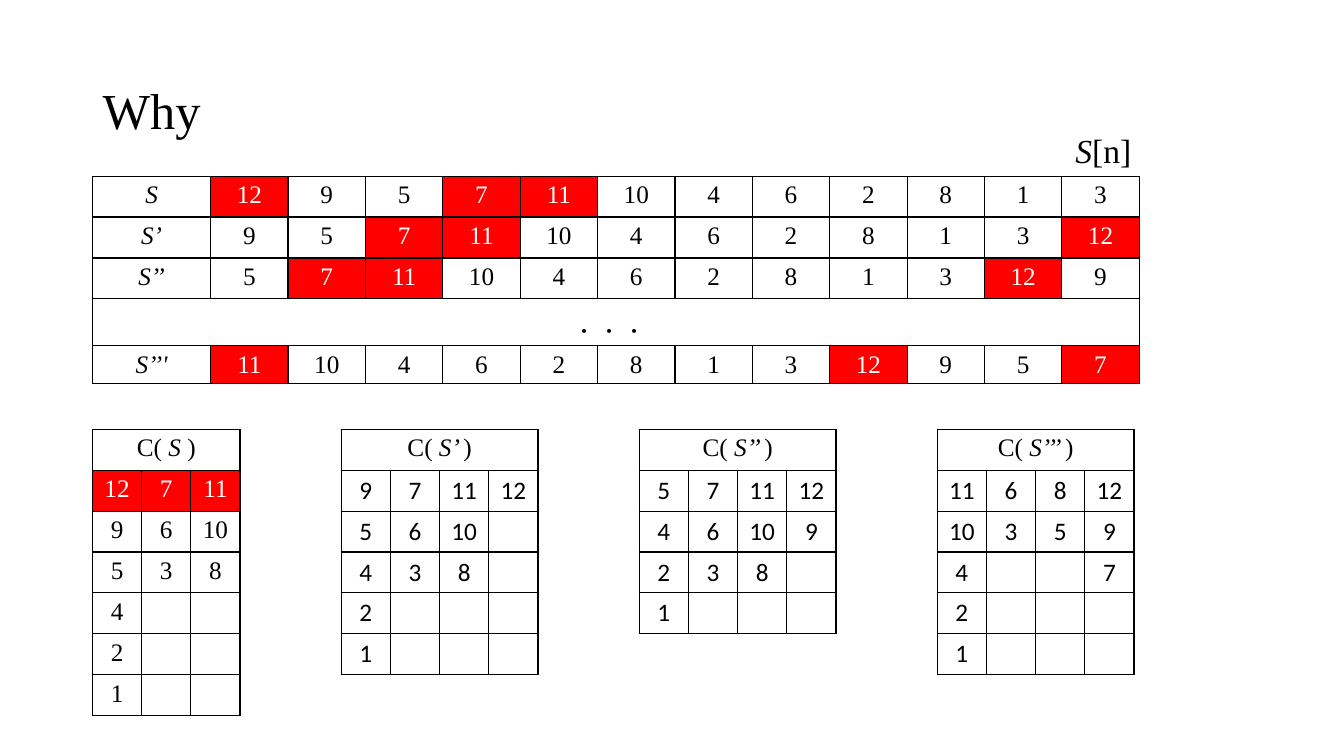
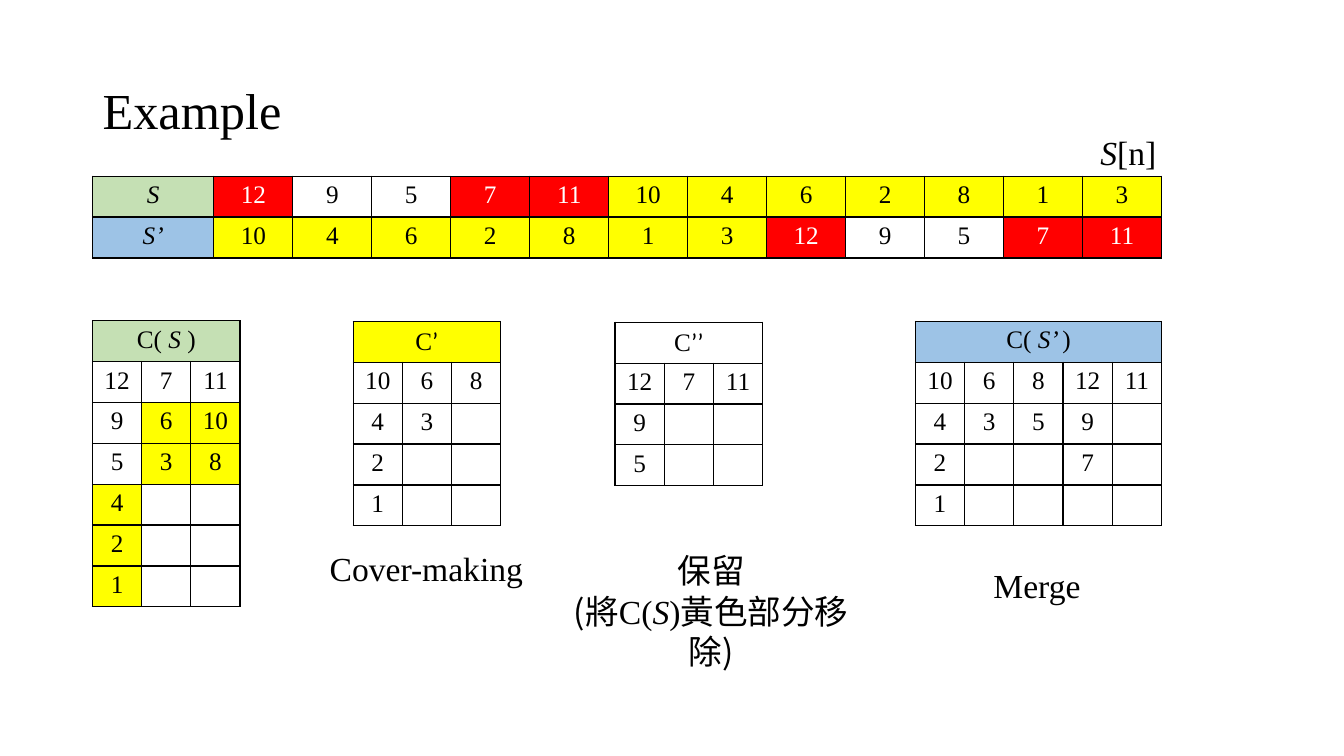
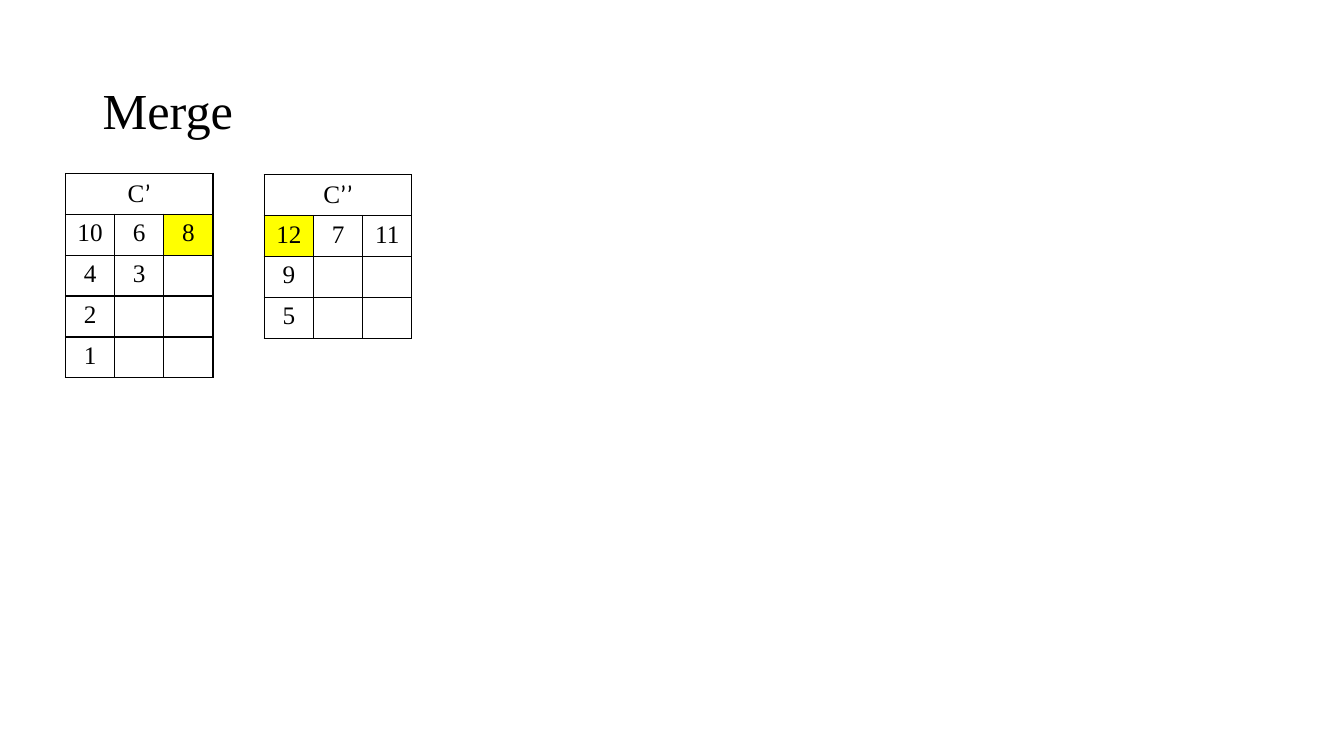
"""Build three slides on covers of a rotated sequence."""
from lxml.etree import SubElement
from pptx import Presentation
from pptx.dml.color import RGBColor
from pptx.enum.text import MSO_ANCHOR, MSO_AUTO_SIZE, PP_ALIGN
from pptx.oxml.ns import qn
from pptx.util import Cm, Pt


class Theme:
    serif, sans, han = "Times New Roman", "Calibri", "Noto Sans CJK SC"
    title, label, cell = Pt(36), Pt(24), Pt(18)
    black, white = "000000", "FFFFFF"
    tints = {"r": "FF0000", "y": "FFFF00", "g": "C5E0B4", "b": "9DC3E6"}
    marks = {"_": {"italic": True}, "^": {"name": sans}, "@": {"name": han}}
    edge = Pt(1)
    row, col = 1.03, 1.24


def put(frame, lines, size, align=PP_ALIGN.CENTER, name=Theme.serif, ink=Theme.black):
    """Write lines whose runs are split by | and styled by a leading mark."""
    for num, line in enumerate(lines):
        para = frame.add_paragraph() if num else frame.paragraphs[0]
        para.alignment = align
        for part in line.split("|"):
            mark = Theme.marks.get(part[:1], {})
            run = para.add_run()
            run.text = part[1:] if mark else part
            look = {"size": size, "name": name, "italic": False, "bold": False, **mark}
            for key, val in look.items():
                setattr(run.font, key, val)
            run.font.color.rgb = RGBColor.from_string(ink)
            if look["name"] == Theme.han:
                SubElement(run._r.get_or_add_rPr(), qn("a:ea"), typeface=Theme.han)


def grid(slide, left, top, rows, name=Theme.serif, first=Theme.col, step=Theme.col, tall={}):
    """Draw a table; a row without commas spans it, a last letter tints a cell."""
    count = max(row.count(",") for row in rows) + 1
    wide = [first] + [step] * (count - 1)
    high = [tall.get(num, Theme.row) for num in range(len(rows))]
    table = slide.shapes.add_table(
        len(rows), count, Cm(left), Cm(top), Cm(sum(wide)), Cm(sum(high))).table
    table.first_row = table.horz_banding = False
    for col, size in zip(table.columns, wide):
        col.width = Cm(size)
    for num, row in enumerate(rows):
        table.rows[num].height = Cm(high[num])
        words = row.split(",")
        span = len(words) == 1
        for pos in range(count):
            cell = table.cell(num, pos)
            props = cell._tc.get_or_add_tcPr()
            for side in ("lnL", "lnR", "lnT", "lnB"):
                line = SubElement(props, qn("a:" + side), w=str(Theme.edge))
                SubElement(SubElement(line, qn("a:solidFill")), qn("a:srgbClr"), val=Theme.black)
            word = words[0] if span else words[pos]
            tint = Theme.tints.get(word[-1:], Theme.white)
            cell.fill.solid()
            cell.fill.fore_color.rgb = RGBColor.from_string(tint)
            text = word.rstrip("rygb")
            if text and not (span and pos):
                put(cell.text_frame, [text], Theme.cell, name=Theme.serif if span else name,
                    ink=Theme.white if tint == Theme.tints["r"] else Theme.black)
        if span:
            table.cell(num, 0).merge(table.cell(num, count - 1))


deck = Presentation()
deck.slide_width, deck.slide_height = Cm(33.87), Cm(19.05)
edge, head = 2.33, 4.44

pages = []
for name in ("Why", "Example", "Merge"):
    page = deck.slides.add_slide(deck.slide_layouts[5])
    title = page.shapes.title
    box = {"left": Cm(edge), "top": Cm(1.01), "width": Cm(29.21), "height": Cm(3.68)}
    for key, val in box.items():
        setattr(title, key, val)
    title.text_frame.vertical_anchor = MSO_ANCHOR.MIDDLE
    put(title.text_frame, [name], Theme.title, PP_ALIGN.LEFT)
    title.text_frame.paragraphs[0].line_spacing = 0.9
    pages.append(page)
why, demo, merge = pages

grid(why, edge, head, [
    "_S,12r,9,5,7r,11r,10,4,6,2,8,1,3",
    "_S’,9,5,7r,11r,10,4,6,2,8,1,3,12r",
    "_S’’,5,7r,11r,10,4,6,2,8,1,3,12r,9",
    "．．．",
    "_S’’',11r,10,4,6,2,8,1,3,12r,9,5,7r",
], first=2.98, step=1.95, tall={3: 1.18, 4: 0.96})
grid(why, edge, 10.82, [
    "C( |_S |)", "12r,7r,11r", "9,6,10", "5,3,8", "4,,", "2,,", "1,,"])
covers = [
    ["C( |_S’ |)", "9,7,11,12", "5,6,10,", "4,3,8,", "2,,,", "1,,,"],
    ["C( |_S’’ |)", "5,7,11,12", "4,6,10,9", "2,3,8,", "1,,,"],
    ["C( |_S’’’ |)", "11,6,8,12", "10,3,5,9", "4,,,7", "2,,,", "1,,,"],
]
for num, rows in enumerate(covers):
    grid(why, 8.6 + 7.51 * num, 10.82, rows, Theme.sans)

made = ["10,6,8", "4,3,", "2,,", "1,,"]
kept = ["12,7,11", "9,,", "5,,"]
grid(demo, edge, head, [
    "_Sg,12r,9,5,7r,11r,10y,4y,6y,2y,8y,1y,3y",
    "_S’b,10y,4y,6y,2y,8y,1y,3y,12r,9,5,7r,11r",
], first=3.06, step=1.99)
grid(demo, edge, 8.08, [
    "C( |_S |)g", "12,7,11", "9,6y,10y", "5,3y,8y", "4y,,", "2y,,", "1y,,"])
grid(demo, 8.9, 8.1, ["C|^’y"] + made)
grid(demo, 15.5, 8.12, ["C|^’’"] + kept)
grid(demo, 23.07, 8.1, [
    "C( |_S’ |)b", "10,6,8,12,11", "4,3,5,9,", "2,,,7,", "1,,,,"])

grid(merge, 1.65, 4.37, ["C|^’", "10,6,8y"] + made[1:])
grid(merge, 6.66, 4.4, ["C|^’’", "12y,7,11"] + kept[1:])

left, mid = PP_ALIGN.LEFT, PP_ALIGN.CENTER
labels = [
    (why, 26.85, 3.15, 3.48, 1.27, left, ["_S|[n]"]),
    (demo, 27.48, 3.2, 3.48, 1.27, left, ["_S|[n]"]),
    (demo, 7.8, 13.69, 5.89, 1.27, mid, ["Cover-making"]),
    (demo, 13.67, 13.74, 8.51, 2.31, mid, ["@保留", "@(將|C(|_S|)|@黃色部分移除)"]),
    (demo, 22.68, 14.1, 6.91, 1.27, mid, ["Merge"]),
]
for page, *place, align, lines in labels:
    frame = page.shapes.add_textbox(*map(Cm, place)).text_frame
    frame.word_wrap = True
    frame.auto_size = MSO_AUTO_SIZE.SHAPE_TO_FIT_TEXT
    put(frame, lines, Theme.label, align)

deck.save("out.pptx")
